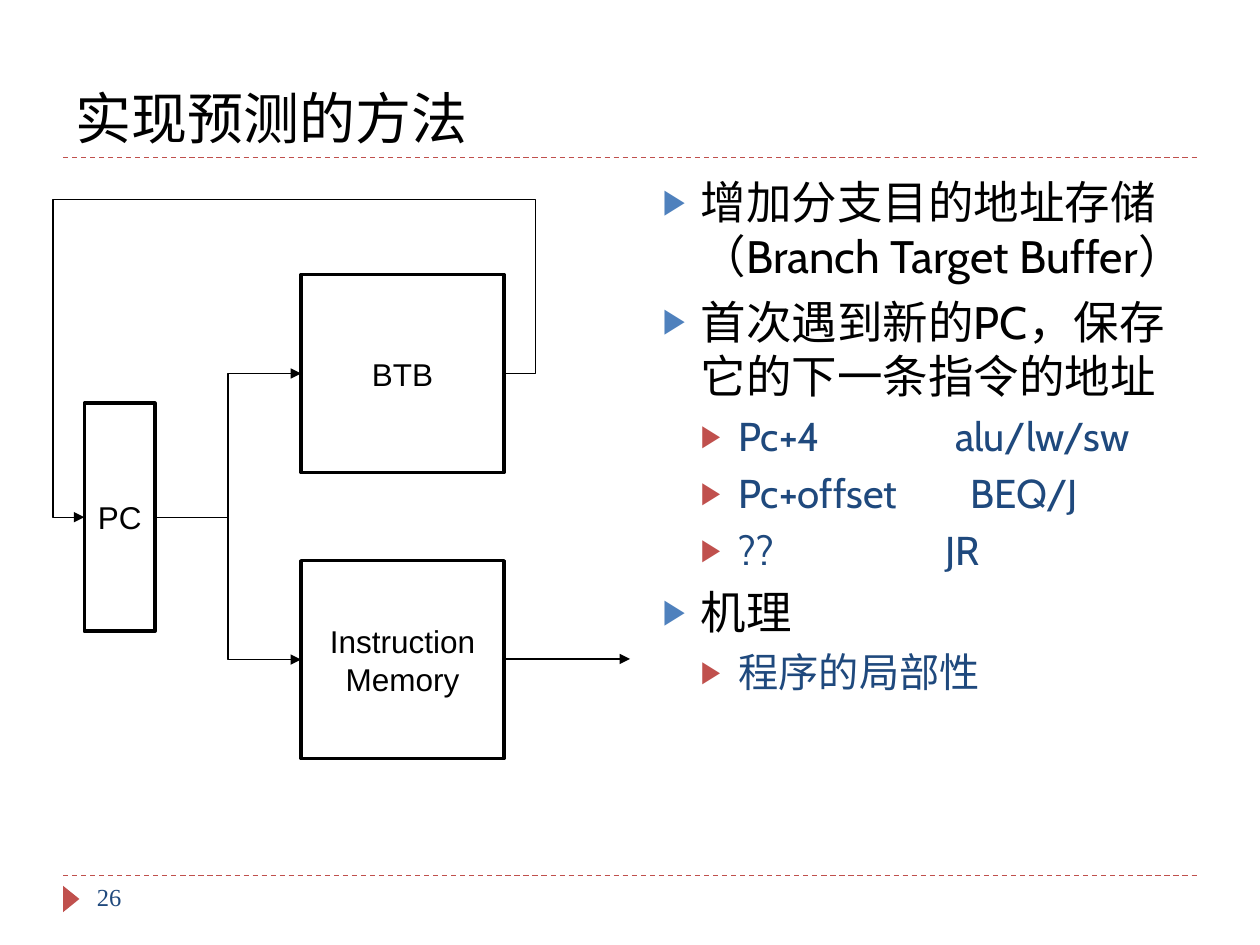
from lxml import etree
from pptx import Presentation
from pptx import util as u
from pptx.dml.color import RGBColor
from pptx.enum import dml, shapes, text
from pptx.oxml import ns

BLACK = RGBColor(0x00, 0x00, 0x00)
WHITE = RGBColor(0xFF, 0xFF, 0xFF)
RED = RGBColor(0xC0, 0x50, 0x4D)
BLUE = RGBColor(0x4F, 0x81, 0xBD)
NAVY = RGBColor(0x1F, 0x49, 0x7D)

LEFT_SITE, RIGHT_SITE = 1, 3  # connection sites of a rectangle


def add_xml(parent, tag, **attributes):
    return etree.SubElement(parent, ns.qn(tag), attributes)


class SlideBuilder:
    heading_font = "Cabin"
    diagram_font = "Arial"
    number_font = "Times New Roman"
    # Per outline level: size, text colour, bullet colour, space before
    levels = [(26, BLACK, BLUE, 6), (23, NAVY, RED, 5)]
    indent = 0.3

    def __init__(self, slide):
        self.slide = slide

    def place(self, item, left, top, width, height):
        item.left, item.top = u.Inches(left), u.Inches(top)
        item.width, item.height = u.Inches(width), u.Inches(height)

    def style(self, paragraph, name, size, color):
        paragraph.font.name = name
        paragraph.font.size = u.Pt(size)
        paragraph.font.color.rgb = color

    def title(self, wording, *box):
        title = self.slide.shapes.title
        self.place(title, *box)
        frame = title.text_frame
        frame.text = wording
        frame.auto_size = text.MSO_AUTO_SIZE.NONE
        frame.vertical_anchor = text.MSO_ANCHOR.BOTTOM
        frame.paragraphs[0].alignment = text.PP_ALIGN.LEFT
        self.style(frame.paragraphs[0], self.heading_font, 32, BLACK)

    def outline(self, entries, *box):
        body = self.slide.placeholders[1]
        self.place(body, *box)
        frame = body.text_frame
        frame.auto_size = text.MSO_AUTO_SIZE.NONE
        for number, (level, wording, tab) in enumerate(entries):
            point = frame.add_paragraph() if number else frame.paragraphs[0]
            point.text = wording
            point.level = level
            size, color, bullet_color, before = self.levels[level]
            self.bullet(point, level, bullet_color, tab)
            point.space_before = u.Pt(before if number else 0)
            self.style(point, self.heading_font, size, color)

    def bullet(self, point, level, color, tab):
        props = point._p.get_or_add_pPr()
        props.set("marL", str(u.Inches(self.indent * (level + 1))))
        props.set("indent", str(u.Inches(-self.indent)))
        add_xml(add_xml(props, "a:buClr"), "a:srgbClr", val=str(color))
        add_xml(props, "a:buSzPct", val="76000")
        add_xml(props, "a:buFont", typeface="Arial")
        add_xml(props, "a:buChar", char="▶")
        if tab:
            stops = add_xml(props, "a:tabLst")
            add_xml(stops, "a:tab", pos=str(u.Inches(tab)), algn="l")

    def block(self, lines, *box):
        block = self.slide.shapes.add_shape(
            shapes.MSO_SHAPE.RECTANGLE, *map(u.Inches, box))
        block.shadow.inherit = False
        block.fill.solid()
        block.fill.fore_color.rgb = WHITE
        block.line.color.rgb = BLACK
        block.line.width = u.Pt(2)
        frame = block.text_frame
        frame.margin_left = frame.margin_right = 0
        frame.vertical_anchor = text.MSO_ANCHOR.MIDDLE
        frame.text = "\n".join(lines)
        for paragraph in frame.paragraphs:
            paragraph.alignment = text.PP_ALIGN.CENTER
            self.style(paragraph, self.diagram_font, 18, BLACK)
        return block

    def line(self, start, end, color=BLACK, kind=shapes.MSO_CONNECTOR.STRAIGHT):
        line = self.slide.shapes.add_connector(
            kind, *map(u.Inches, (*start, *end)))
        line.line.color.rgb = color
        line.line.width = u.Pt(0.75)
        add_xml(line._element.spPr, "a:effectLst")
        return line

    def rule(self, y):
        self.line((0.5, y), (9.5, y), RED).line.dash_style = dml.MSO_LINE.DASH

    def arrow(self, start, end, **options):
        arrow = self.line(start, end, **options)
        add_xml(arrow.line._get_or_add_ln(), "a:tailEnd", type="triangle")
        return arrow

    def wire(self, source, target):
        wire = self.arrow((0, 0), (1, 1), kind=shapes.MSO_CONNECTOR.ELBOW)
        wire.begin_connect(source, RIGHT_SITE)
        wire.end_connect(target, LEFT_SITE)
        return wire

    def feedback(self, source, target, bends):
        geometry = self.wire(source, target)._element.spPr.find(ns.qn("a:prstGeom"))
        geometry.set("prst", "bentConnector5")
        guides = geometry.find(ns.qn("a:avLst"))
        for number, bend in enumerate(bends, 1):
            add_xml(guides, "a:gd", name=f"adj{number}", fmla=f"val {bend}")

    def page_marker(self, number):
        marker = self.slide.shapes.add_shape(
            shapes.MSO_SHAPE.ISOSCELES_TRIANGLE,
            *map(u.Inches, (0.46, 7.07, 0.21, 0.13)))
        marker.rotation = 90
        marker.shadow.inherit = False
        marker.fill.solid()
        marker.fill.fore_color.rgb = RED
        marker.line.fill.background()
        label = self.slide.shapes.add_textbox(
            *map(u.Inches, (0.67, 6.95, 2.17, 0.4))).text_frame
        label.word_wrap = True
        label.text = number
        self.style(label.paragraphs[0], self.number_font, 14, NAVY)


def main():
    deck = Presentation()
    deck.slide_width, deck.slide_height = u.Inches(10), u.Inches(7.5)
    page = SlideBuilder(deck.slides.add_slide(deck.slide_layouts[1]))

    # Frame of the page
    page.rule(6.95)
    page.rule(1.25)
    page.page_marker("26")

    # Title and outline: level, wording, tab stop
    page.title("实现预测的方法", 0.5, 0.17, 9, 1.08)
    page.outline([
        (0, "增加分支目的地址存储（Branch Target Buffer）", None),
        (0, "首次遇到新的PC，保存它的下一条指令的地址", None),
        (1, "Pc+4\talu/lw/sw", 2.32),
        (1, "Pc+offset\tBEQ/J", 2.44),
        (1, "??\tJR", 2.24),
        (0, "机理", None),
        (1, "程序的局部性", None),
    ], 5.16, 1.33, 4.34, 5.37)

    # Blocks of the fetch diagram
    counter = page.block(["PC"], 0.67, 3.2, 0.56, 1.81)
    target_buffer = page.block(["BTB"], 2.39, 2.18, 1.61, 1.57)
    memory = page.block(["Instruction", "Memory"], 2.39, 4.45, 1.61, 1.57)

    # Wiring between the blocks
    page.wire(counter, target_buffer)
    page.wire(counter, memory)
    page.feedback(target_buffer, counter, (-7500, -121400, 107500))
    page.arrow((4, 5.23), (5, 5.23))

    deck.save("out.pptx")


if __name__ == "__main__":
    main()
